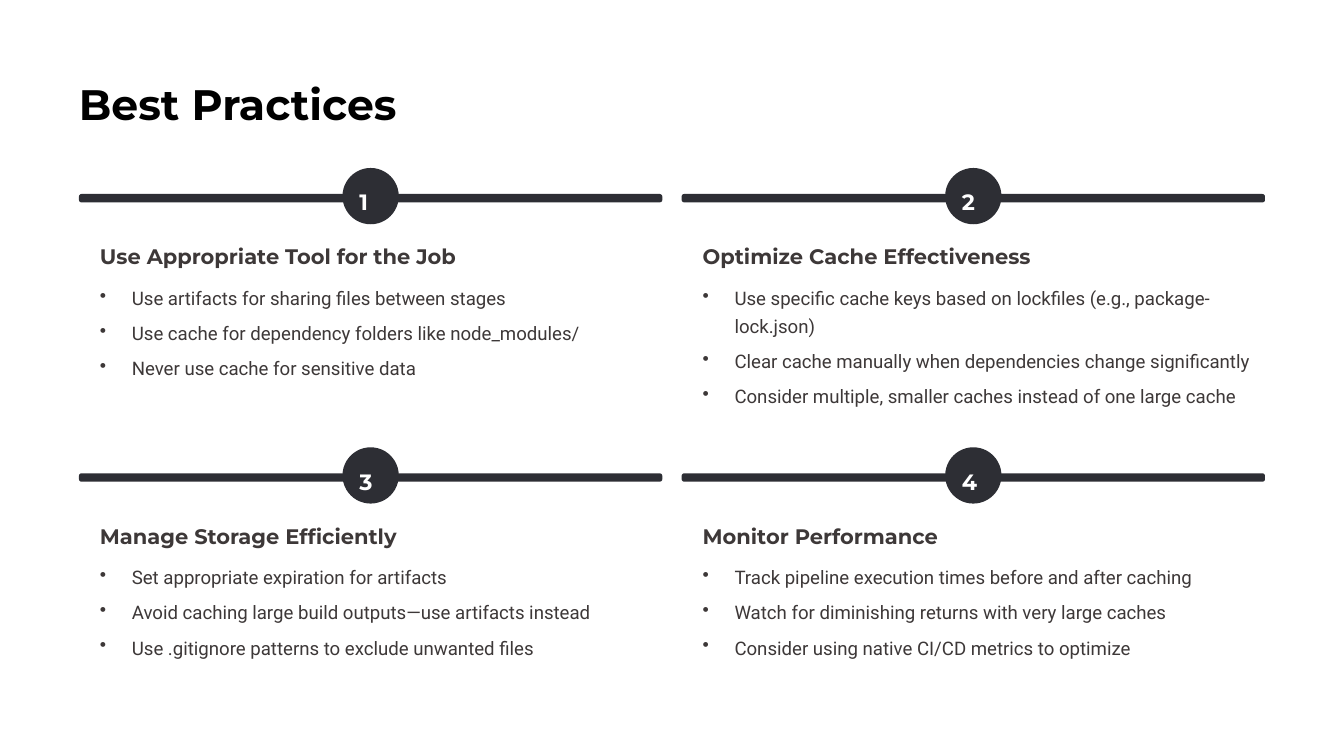
from pptx import Presentation, util as u
from pptx.dml.color import RGBColor
from pptx.enum import shapes
from pptx.oxml.ns import qn
from lxml import etree

TITLE = "Best Practices"
CARDS = [
    ("Use Appropriate Tool for the Job", [
        "Use artifacts for sharing files between stages",
        "Use cache for dependency folders like node_modules/",
        "Never use cache for sensitive data"]),
    ("Optimize Cache Effectiveness", [
        "Use specific cache keys based on lockfiles (e.g., package-lock.json)",
        "Clear cache manually when dependencies change significantly",
        "Consider multiple, smaller caches instead of one large cache"]),
    ("Manage Storage Efficiently", [
        "Set appropriate expiration for artifacts",
        "Avoid caching large build outputs—use artifacts instead",
        "Use .gitignore patterns to exclude unwanted files"]),
    ("Monitor Performance", [
        "Track pipeline execution times before and after caching",
        "Watch for diminishing returns with very large caches",
        "Consider using native CI/CD metrics to optimize"]),
]

BLACK = RGBColor(0x00, 0x00, 0x00)
WHITE = RGBColor(0xFF, 0xFF, 0xFF)
DARK = RGBColor(0x2D, 0x2E, 0x34)
INK = RGBColor(0x3D, 0x38, 0x38)

# Text styles: font values and line height in points
TITLE_STYLE = dict(name="Montserrat", size=u.Pt(36.5), bold=True), BLACK, 45.5
NUMBER_STYLE = dict(name="Montserrat", size=u.Pt(19), bold=True), WHITE, 29
HEADING_STYLE = dict(name="Montserrat", size=u.Pt(18), bold=True), INK, 22.5
BULLET_STYLE = dict(name="Roboto", size=u.Pt(16), bold=False), INK, 24

# Grid in inches
WIDTH, HEIGHT = 16, 9
MARGIN, GAP = 0.94, 0.23
CARD_W = (WIDTH - 2 * MARGIN - GAP) / 2
ROW_TOP, ROW_PITCH = 2, 3.325
CARD_HEIGHTS = [2.77, 2.43]
BADGE, BAR = 0.67, 0.1
PAD, INDENT = 0.25, 0.38


def add_round(s, x, y, w, h, color, radius):
    sp = s.shapes.add_shape(shapes.MSO_SHAPE.ROUNDED_RECTANGLE,
                            *map(u.Inches, (x, y, w, h)))
    sp.adjustments[0] = radius / min(w, h)
    sp.shadow.inherit = False
    sp.fill.solid()
    sp.fill.fore_color.rgb = color
    sp.line.fill.background()


def add_text(s, x, y, w, h, lines, style, bullets=False):
    font, color, leading = style
    tf = s.shapes.add_textbox(*map(u.Inches, (x, y, w, h))).text_frame
    tf.word_wrap = bullets
    for side in ("left", "top", "right", "bottom"):
        setattr(tf, f"margin_{side}", 0)
    for i, line in enumerate(lines):
        p = tf.add_paragraph() if i else tf.paragraphs[0]
        p.line_spacing = u.Pt(leading)
        if i:
            p.space_before = u.Pt(6)
        if bullets:
            pPr = p._p.get_or_add_pPr()
            pPr.set("marL", str(u.Inches(INDENT)))
            pPr.set("indent", str(-u.Inches(INDENT)))
            etree.SubElement(pPr, qn("a:buChar")).set("char", "•")
        r = p.add_run()
        r.text = line
        for key, value in font.items():
            setattr(r.font, key, value)
        r.font.color.rgb = color


def add_card(s, index, heading, points):
    row, col = divmod(index, 2)
    x = MARGIN + col * (CARD_W + GAP)
    y = ROW_TOP + row * ROW_PITCH
    badge_x = x + (CARD_W - BADGE) / 2
    add_round(s, x, y + BADGE / 2, CARD_W, CARD_HEIGHTS[row], WHITE, 0.12)
    add_round(s, x, y + 0.31, CARD_W, BAR, DARK, 0.03)
    add_round(s, badge_x, y, BADGE, BADGE, DARK, BADGE / 2)
    add_text(s, badge_x + 0.2, y + 0.16, 0.27, 0.34,
             [str(index + 1)], NUMBER_STYLE)
    add_text(s, x + PAD, y + 0.89, CARD_W - 2 * PAD, 0.32,
             [heading], HEADING_STYLE)
    add_text(s, x + PAD, y + 1.35, CARD_W - 1.5 * PAD, 1.17,
             points, BULLET_STYLE, bullets=True)


def main():
    prs = Presentation()
    prs.slide_width, prs.slide_height = u.Inches(WIDTH), u.Inches(HEIGHT)
    s = prs.slides.add_slide(prs.slide_layouts[6])
    s.background.fill.solid()
    s.background.fill.fore_color.rgb = WHITE
    add_text(s, MARGIN, 0.91, 5.1, 0.64, [TITLE], TITLE_STYLE)
    for index, (heading, points) in enumerate(CARDS):
        add_card(s, index, heading, points)
    prs.save("out.pptx")


if __name__ == "__main__":
    main()
